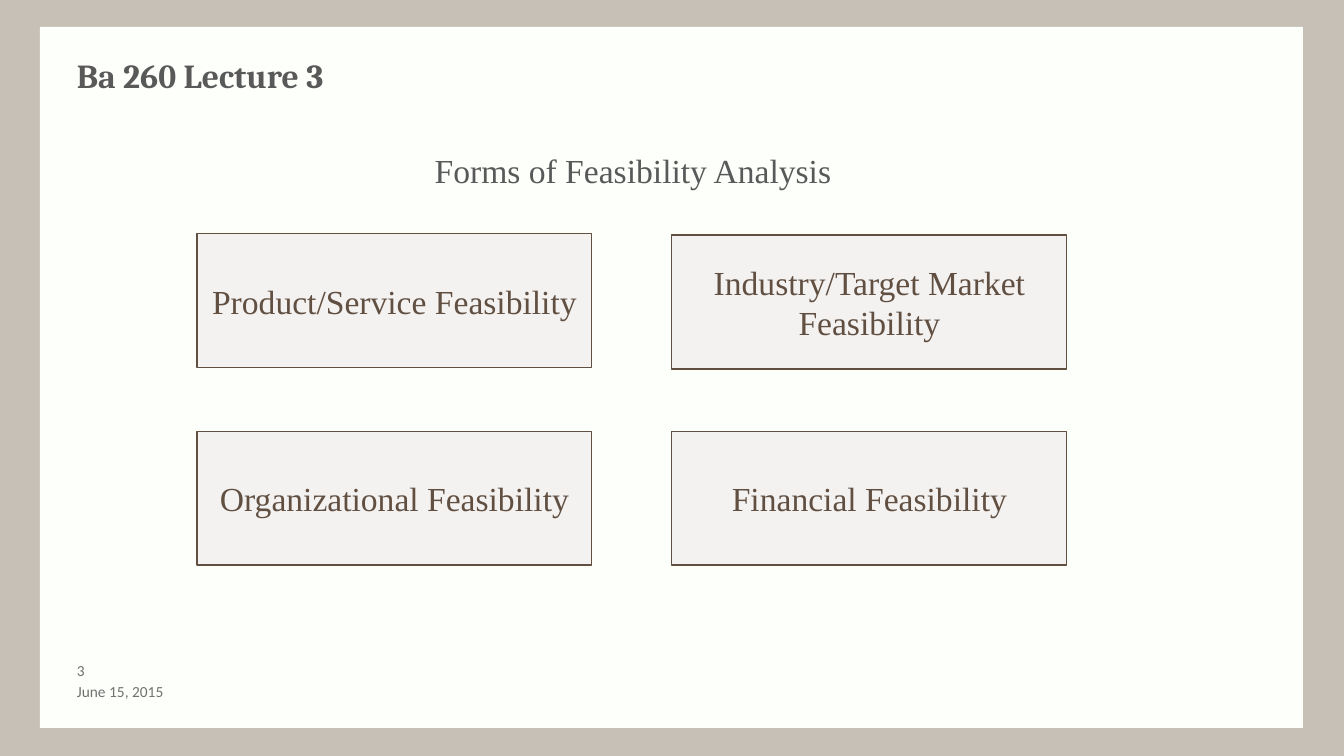
from pptx import Presentation
from pptx.dml.color import RGBColor
from pptx.enum.shapes import MSO_SHAPE as SHAPE
from pptx.enum.text import MSO_ANCHOR as ANCHOR, PP_ALIGN as ALIGN
from pptx.util import Emu, Pt

SCALE = 914400 / 100.8
TAUPE = RGBColor(0xC6, 0xC0, 0xB7)
IVORY = RGBColor(0xFD, 0xFF, 0xFB)
GRAY = RGBColor(0x59, 0x59, 0x59)
SILVER = RGBColor(0x71, 0x71, 0x71)
PALE = RGBColor(0xF4, 0xF2, 0xF1)
BROWN = RGBColor(0x61, 0x50, 0x42)


def px(*sizes):
    return [Emu(round(size * SCALE)) for size in sizes]


def write(shape, text, face, size, color, align=ALIGN.LEFT, bold=False):
    frame = shape.text_frame
    frame.text = text
    for para in frame.paragraphs:
        para.alignment = align
        for run in para.runs:
            run.font.name = face
            run.font.size = Pt(size)
            run.font.bold = bold
            run.font.color.rgb = color
    return frame


deck = Presentation()
deck.slide_width, deck.slide_height = px(1344, 756)
slide = deck.slides.add_slide(deck.slide_layouts[6])
shapes = slide.shapes

# Background and page
slide.background.fill.solid()
slide.background.fill.fore_color.rgb = TAUPE
page = shapes.add_shape(SHAPE.RECTANGLE, *px(40, 27, 1263, 701))
page.shadow.inherit = False
page.fill.solid()
page.fill.fore_color.rgb = IVORY
page.line.fill.background()

# Title and heading
title = shapes.add_textbox(*px(67, 50, 1210, 76))
write(title, "Ba 260 Lecture 3", "Cambria", 24, GRAY, bold=True).word_wrap = True
head = shapes.add_textbox(*px(67, 151, 1132, 78))
frame = write(head, "Forms of Feasibility Analysis", "Times New Roman", 24, GRAY, ALIGN.CENTER)
frame.word_wrap = True
frame.paragraphs[0].line_spacing = 0.85

# Feasibility boxes
forms = [
    ("Product/Service Feasibility", 197, 234),
    ("Industry/Target Market\nFeasibility", 672, 235),
    ("Organizational Feasibility", 197, 431),
    ("Financial Feasibility", 672, 431),
]
for text, left, top in forms:
    box = shapes.add_shape(SHAPE.RECTANGLE, *px(left, top, 395, 134))
    box.shadow.inherit = False
    box.fill.solid()
    box.fill.fore_color.rgb = PALE
    box.line.color.rgb = BROWN
    box.line.width = Pt(0.75)
    frame = write(box, text, "Times New Roman", 24, BROWN, ALIGN.CENTER)
    frame.word_wrap = False
    frame.vertical_anchor = ANCHOR.MIDDLE

# Slide number and date
for text, top, width in [("3", 660, 53), ("June 15, 2015", 681, 269)]:
    note = shapes.add_textbox(*px(67, top, width, 20))
    frame = write(note, text, "Calibri", 11, SILVER)
    frame.word_wrap = True
    frame.vertical_anchor = ANCHOR.MIDDLE
    frame.margin_top = frame.margin_bottom = 0

deck.save("out.pptx")
